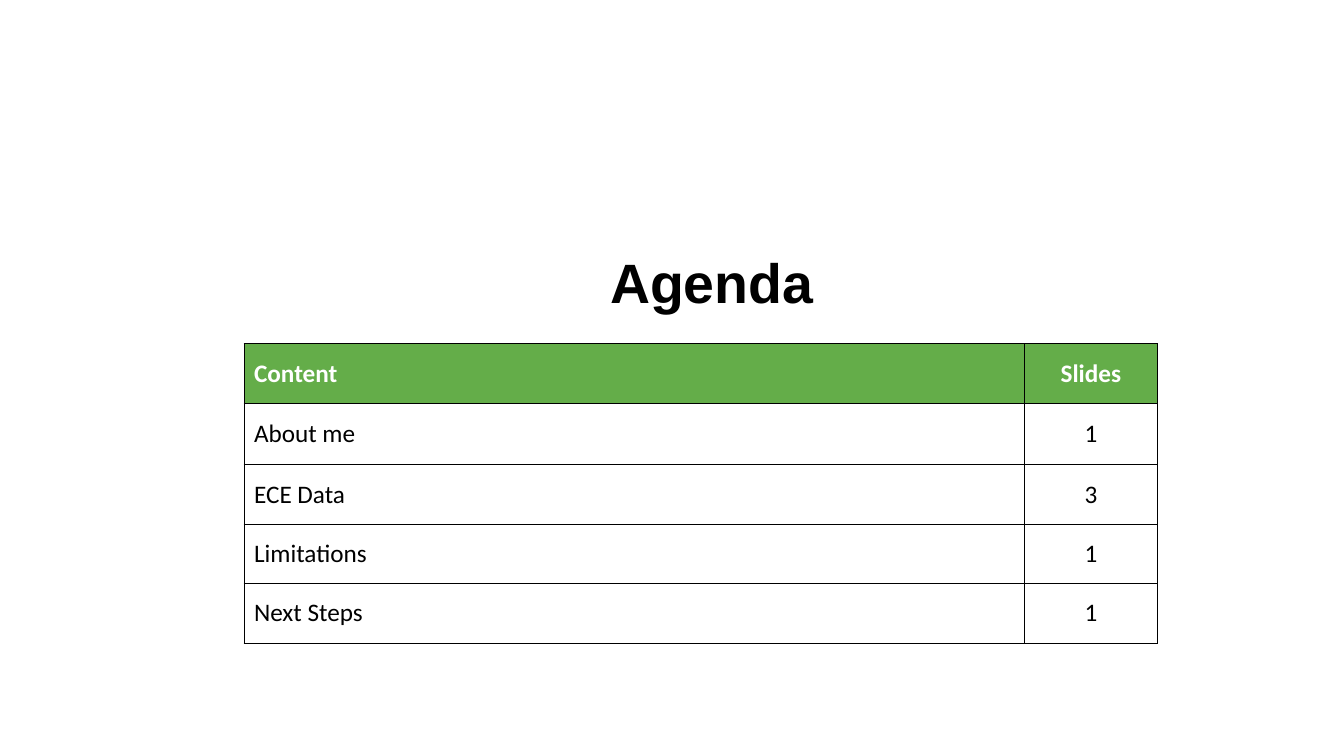
from dataclasses import dataclass
from typing import Any

from lxml.etree import SubElement
from pptx import Presentation
from pptx.dml.color import RGBColor
from pptx.enum.text import MSO_ANCHOR, PP_ALIGN
from pptx.oxml.ns import qn
from pptx.slide import Slide
from pptx.table import _Cell
from pptx.text.text import _Paragraph
from pptx.util import Inches, Pt

BLACK = RGBColor(0x00, 0x00, 0x00)
WHITE = RGBColor(0xFF, 0xFF, 0xFF)
GREEN = RGBColor(0x64, 0xAD, 0x49)

COLUMN_WIDTHS = (7.74, 1.32)
ROW_HEIGHTS = (0.59, 0.61, 0.59, 0.59, 0.59)
COLUMN_ALIGNMENTS = (PP_ALIGN.LEFT, PP_ALIGN.CENTER)
BORDER_WIDTH = Pt(0.75)

TITLE_FORMAT = {"name": "Arial", "size": Pt(39.6), "bold": True}
HEADER_FORMAT = {"name": "Calibri", "size": Pt(18), "bold": True}
BODY_FORMAT = {**HEADER_FORMAT, "bold": False}


@dataclass(frozen=True)
class AgendaRow:
    content: str
    slides: str
    is_header: bool = False


AGENDA = (
    AgendaRow("Content", "Slides", is_header=True),
    AgendaRow("About me", "1"),
    AgendaRow("ECE Data", "3"),
    AgendaRow("Limitations", "1"),
    AgendaRow("Next Steps", "1"),
)


def write_text(paragraph: _Paragraph, text: str, alignment: PP_ALIGN,
               color: RGBColor, font_format: dict[str, Any]) -> None:
    paragraph.alignment = alignment
    run = paragraph.add_run()
    run.text = text
    run.font.color.rgb = color
    for attribute, value in font_format.items():
        setattr(run.font, attribute, value)


def add_borders(cell: _Cell) -> None:
    """Line all four sides; call before filling, as lines precede the fill in XML."""
    properties = cell._tc.get_or_add_tcPr()
    for side in ("a:lnL", "a:lnR", "a:lnT", "a:lnB"):
        line = SubElement(properties, qn(side), w=str(BORDER_WIDTH))
        fill = SubElement(line, qn("a:solidFill"))
        SubElement(fill, qn("a:srgbClr"), val=str(BLACK))


def add_title(slide: Slide) -> None:
    title = slide.shapes.add_textbox(Inches(3.31), Inches(2.47), Inches(7.5), Inches(0.73))
    frame = title.text_frame
    frame.word_wrap = True
    frame.vertical_anchor = MSO_ANCHOR.MIDDLE
    paragraph = frame.paragraphs[0]
    paragraph.line_spacing = 0.9
    write_text(paragraph, "Agenda", PP_ALIGN.CENTER, BLACK, TITLE_FORMAT)


def fill_cell(cell: _Cell, text: str, alignment: PP_ALIGN, is_header: bool) -> None:
    add_borders(cell)
    cell.vertical_anchor = MSO_ANCHOR.MIDDLE
    if is_header:
        cell.fill.solid()
        cell.fill.fore_color.rgb = GREEN
    else:
        cell.fill.background()
    write_text(cell.text_frame.paragraphs[0], text, alignment,
               WHITE if is_header else BLACK,
               HEADER_FORMAT if is_header else BODY_FORMAT)


def add_agenda_table(slide: Slide) -> None:
    table = slide.shapes.add_table(
        len(AGENDA), len(COLUMN_WIDTHS), Inches(2.42), Inches(3.41),
        Inches(sum(COLUMN_WIDTHS)), Inches(sum(ROW_HEIGHTS)),
    ).table
    table.horz_banding = False
    for column, width in zip(table.columns, COLUMN_WIDTHS):
        column.width = Inches(width)
    for row, height, entry in zip(table.rows, ROW_HEIGHTS, AGENDA):
        row.height = Inches(height)
        texts = (entry.content, entry.slides)
        for cell, text, alignment in zip(row.cells, texts, COLUMN_ALIGNMENTS):
            fill_cell(cell, text, alignment, entry.is_header)


def main() -> None:
    presentation = Presentation()
    presentation.slide_width = Inches(13.33)
    presentation.slide_height = Inches(7.5)
    slide = presentation.slides.add_slide(presentation.slide_layouts[6])
    add_title(slide)
    add_agenda_table(slide)
    presentation.save("out.pptx")


if __name__ == "__main__":
    main()
